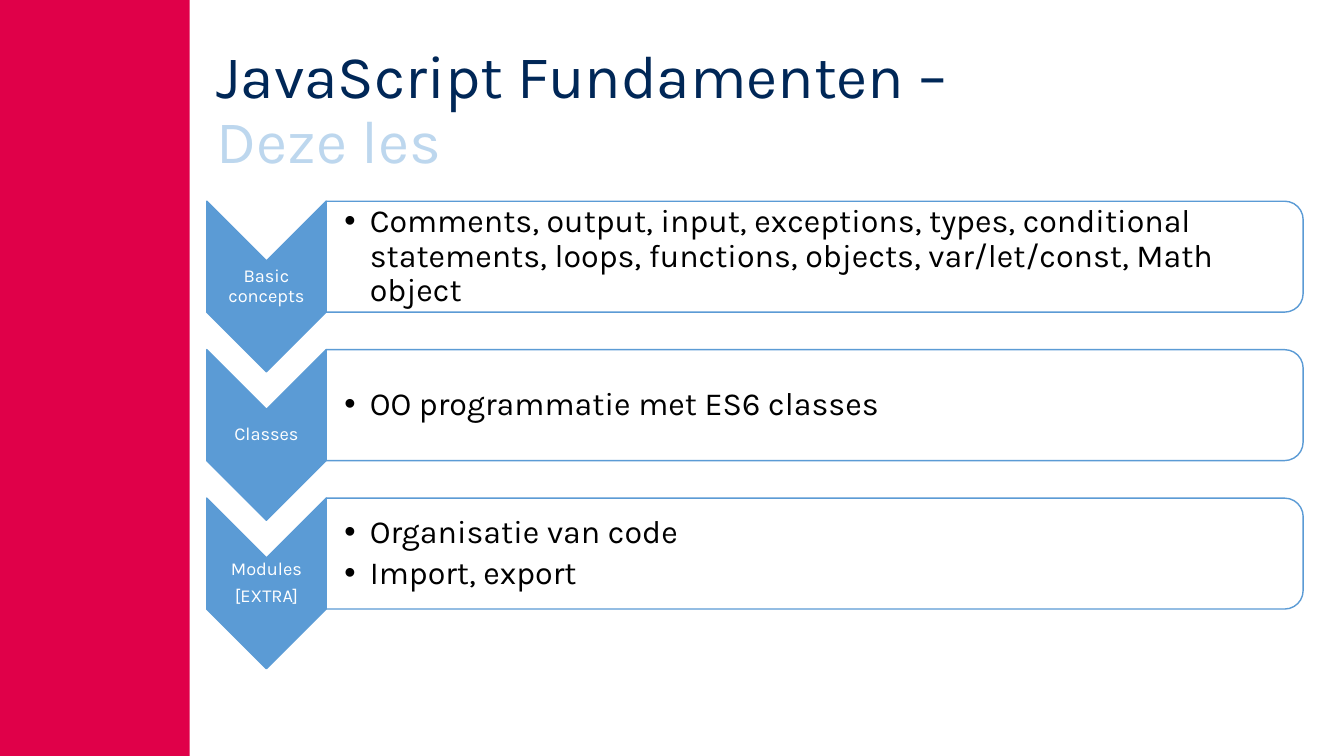
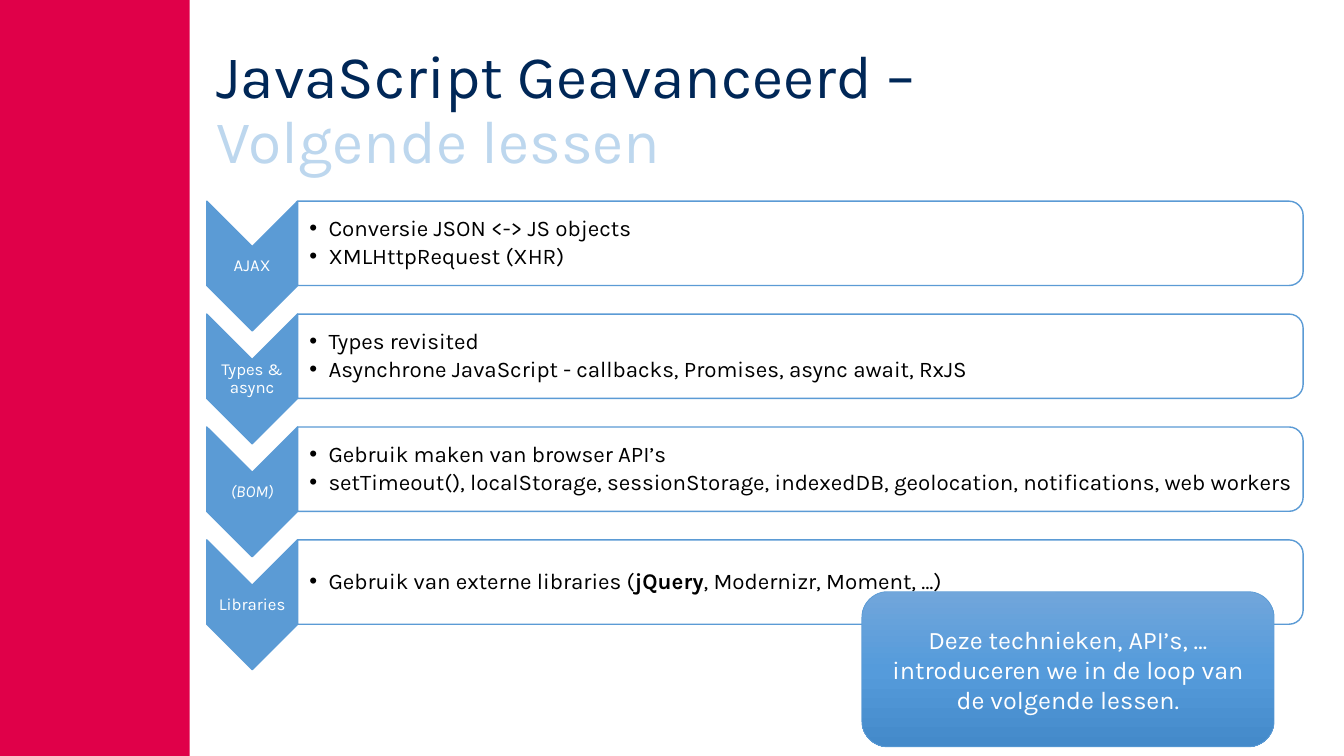
from copy import deepcopy
from dataclasses import dataclass

from lxml import etree
from pptx import Presentation
from pptx import util as u
from pptx.dml.color import RGBColor
from pptx.enum import shapes, text
from pptx.oxml.ns import qn
from pptx.shapes.autoshape import Shape
from pptx.slide import Slide
from pptx.text.text import TextFrame

# Shared look
RED = RGBColor(0xE0, 0x00, 0x49)
NAVY = RGBColor(0x00, 0x27, 0x57)
PALE_BLUE = RGBColor(0xBD, 0xD7, 0xEE)
BLUE = RGBColor(0x5B, 0x9B, 0xD5)
WHITE = RGBColor(0xFF, 0xFF, 0xFF)
BLACK = RGBColor(0x00, 0x00, 0x00)
CALLOUT_STOPS = (
    (0, RGBColor(0x71, 0xA6, 0xDB)),
    (0.5, RGBColor(0x55, 0x9B, 0xDB)),
    (1, RGBColor(0x44, 0x8A, 0xCA)),
)
FONT = "Karla"
LINE_SPACING = 0.9
LINE_HEIGHT = 1.17

# Row list geometry, in cm; ratios are relative to the chevron height
LIST_LEFT, LIST_TOP, LIST_RIGHT = 5.21, 5.07, 32.84
CHEVRON_WIDTH, PANEL_HEIGHT, ROW_PITCH = 0.7, 0.65, 0.87
CORNER_INSET = 0.05


@dataclass(frozen=True)
class Row:
    label: str
    bullets: tuple[str, ...]  # words between asterisks are bold
    italic_label: bool = False


@dataclass(frozen=True)
class Lesson:
    title: str
    subtitle: str
    chevron_height: float
    label_size: int
    bullet_size: int
    bullet_inset: float
    bullet_indent: float
    rows: tuple[Row, ...]
    callout: str = ""


LESSONS = (
    Lesson(
        "JavaScript Fundamenten – ", "Deze les", 4.3, 13, 23, 0.46, 0.64,
        (
            Row("Basic concepts", (
                "Comments, output, input, exceptions, types, conditional statements, "
                "loops, functions, objects, var/let/const, Math object",
            )),
            Row("Classes", ("OO programmatie met ES6 classes",)),
            Row("Modules\n[EXTRA]", ("Organisatie van code", "Import, export")),
        ),
    ),
    Lesson(
        "JavaScript Geavanceerd – ", "Volgende lessen", 3.27, 12, 16, 0.3, 0.48,
        (
            Row("AJAX", ("Conversie JSON <-> JS objects", "XMLHttpRequest (XHR)")),
            Row("Types & async", (
                "Types revisited",
                "Asynchrone JavaScript - callbacks, Promises, async await, RxJS",
            )),
            Row("(BOM)", (
                "Gebruik maken van browser API’s",
                "setTimeout(), localStorage, sessionStorage, indexedDB, geolocation, "
                "notifications, web workers",
            ), italic_label=True),
            Row("Libraries", (
                "Gebruik van externe libraries (*jQuery*, Modernizr, Moment, …)",
            )),
        ),
        "Deze technieken, API’s, … introduceren we in de loop van de volgende lessen.",
    ),
)


# Building blocks
def style_run(run, size: float, color: RGBColor) -> None:
    run.font.name = FONT
    run.font.size = u.Pt(size)
    run.font.color.rgb = color


def space_paragraph(paragraph, size: float, after: float) -> None:
    paragraph.line_spacing = LINE_SPACING
    paragraph.space_after = u.Pt(round(size * LINE_HEIGHT * after, 1))


def add_text_area(slide: Slide, left: float, top: float, width: float,
                  height: float) -> TextFrame:
    frame = slide.shapes.add_textbox(
        u.Cm(left), u.Cm(top), u.Cm(width), u.Cm(height)).text_frame
    frame.word_wrap = True
    frame.vertical_anchor = text.MSO_ANCHOR.MIDDLE
    return frame


def set_margins(frame: TextFrame, left: float, others: float) -> None:
    frame.margin_left = u.Cm(left)
    frame.margin_top = frame.margin_right = frame.margin_bottom = u.Cm(others)


def add_solid(slide: Slide, kind: shapes.MSO_SHAPE, left: float, top: float,
              width: float, height: float, fill: RGBColor) -> Shape:
    solid = slide.shapes.add_shape(
        kind, u.Cm(left), u.Cm(top), u.Cm(width), u.Cm(height))
    solid.shadow.inherit = False
    solid.fill.solid()
    solid.fill.fore_color.rgb = fill
    solid.line.color.rgb = BLUE
    solid.line.width = u.Pt(1)
    return solid


def add_turned(slide: Slide, kind: shapes.MSO_SHAPE, left: float, top: float,
               width: float, height: float, fill: RGBColor) -> Shape:
    """Draw a shape turned a quarter so that it fills the given box."""
    shift = (width - height) / 2
    turned = add_solid(slide, kind, left + shift, top - shift, height, width, fill)
    turned.rotation = 90
    return turned


def add_bullet(paragraph, content: str, lesson: Lesson) -> None:
    for index, part in enumerate(content.split("*")):
        run = paragraph.add_run()
        run.text = part
        style_run(run, lesson.bullet_size, BLACK)
        run.font.bold = index % 2 == 1
    space_paragraph(paragraph, lesson.bullet_size, 0.15)
    properties = paragraph._p.get_or_add_pPr()
    indent = u.Cm(lesson.bullet_indent)
    properties.set("marL", str(indent))
    properties.set("indent", str(-indent))
    etree.SubElement(properties, qn("a:buFont")).set("typeface", "Arial")
    etree.SubElement(properties, qn("a:buChar")).set("char", "•")


# Slide parts
def add_band(slide: Slide) -> None:
    band = add_solid(slide, shapes.MSO_SHAPE.RECTANGLE, 0, 0, 4.78, 19.05, RED)
    band.line.fill.background()


def add_title(slide: Slide, lesson: Lesson) -> None:
    title = add_text_area(slide, LIST_LEFT, 1.02, 27.64, 3.56)
    title.text = f"{lesson.title}\v{lesson.subtitle}"
    title.paragraphs[0].line_spacing = LINE_SPACING
    for run, color in zip(title.paragraphs[0].runs, (NAVY, PALE_BLUE)):
        style_run(run, 43.2, color)


def add_row(slide: Slide, lesson: Lesson, row: Row, top: float) -> None:
    height = lesson.chevron_height
    width = height * CHEVRON_WIDTH
    add_turned(slide, shapes.MSO_SHAPE.CHEVRON, LIST_LEFT, top, width, height, BLUE)

    label = add_text_area(slide, LIST_LEFT, top + width / 2, width, height - width)
    set_margins(label, 0.02, 0.02)
    label.text = row.label
    for paragraph in label.paragraphs:
        paragraph.alignment = text.PP_ALIGN.CENTER
        space_paragraph(paragraph, lesson.label_size, 0.35)
        for run in paragraph.runs:
            style_run(run, lesson.label_size, WHITE)
            run.font.italic = row.italic_label

    panel_left = LIST_LEFT + width
    panel_width = LIST_RIGHT - panel_left
    panel_height = height * PANEL_HEIGHT
    add_turned(slide, shapes.MSO_SHAPE.ROUND_2_SAME_RECTANGLE,
               panel_left, top, panel_width, panel_height, WHITE)

    inset = panel_height * CORNER_INSET
    details = add_text_area(slide, panel_left, top + inset,
                            panel_width - inset, panel_height - 2 * inset)
    set_margins(details, lesson.bullet_inset, 0.03)
    for index, content in enumerate(row.bullets):
        paragraph = details.add_paragraph() if index else details.paragraphs[0]
        add_bullet(paragraph, content, lesson)


def add_callout(slide: Slide, message: str) -> None:
    callout = add_solid(slide, shapes.MSO_SHAPE.ROUNDED_RECTANGLE,
                        21.72, 14.91, 10.39, 3.91, BLUE)
    callout.line.width = u.Pt(0.5)
    callout.fill.gradient()
    callout.fill.gradient_angle = 270
    stop_list = callout._element.spPr.find(f".//{qn('a:gsLst')}")
    stop_list.append(deepcopy(stop_list[-1]))
    for stop, (position, color) in zip(callout.fill.gradient_stops, CALLOUT_STOPS):
        stop.position = position
        stop.color.rgb = color
    frame = callout.text_frame
    frame.word_wrap = True
    frame.vertical_anchor = text.MSO_ANCHOR.MIDDLE
    frame.text = message
    frame.paragraphs[0].alignment = text.PP_ALIGN.CENTER
    style_run(frame.paragraphs[0].runs[0], 18, WHITE)


def main() -> None:
    deck = Presentation()
    deck.slide_width, deck.slide_height = u.Cm(33.87), u.Cm(19.05)
    blank = deck.slide_layouts[6]
    for lesson in LESSONS:
        slide = deck.slides.add_slide(blank)
        add_band(slide)
        add_title(slide, lesson)
        pitch = lesson.chevron_height * ROW_PITCH
        for index, row in enumerate(lesson.rows):
            add_row(slide, lesson, row, LIST_TOP + index * pitch)
        if lesson.callout:
            add_callout(slide, lesson.callout)
    deck.save("out.pptx")


if __name__ == "__main__":
    main()
